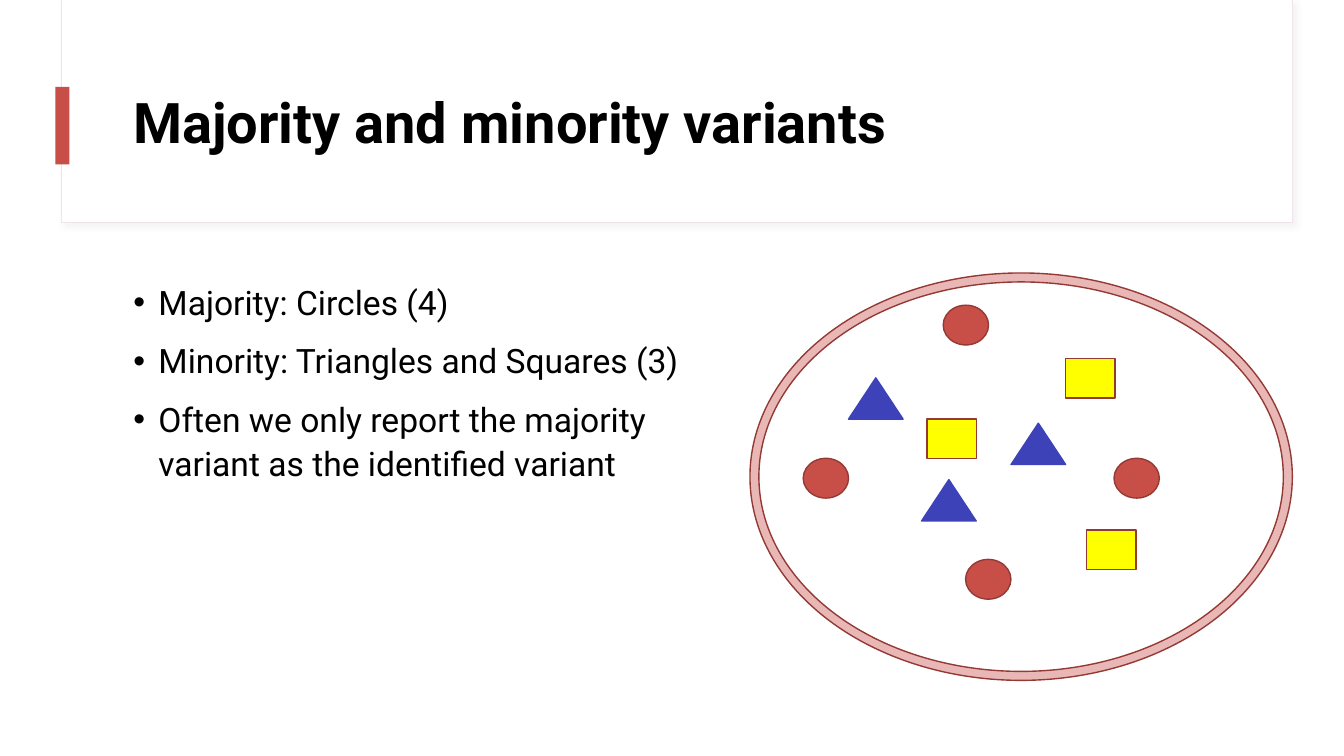
from dataclasses import dataclass

from lxml.etree import SubElement
from pptx import Presentation
from pptx.dml.color import RGBColor
from pptx.enum.shapes import MSO_SHAPE as Shape
from pptx.enum.text import MSO_ANCHOR as Anchor, MSO_AUTO_SIZE as AutoSize, PP_ALIGN as Align
from pptx.oxml.ns import qn
from pptx.util import Pt


@dataclass(frozen=True)
class Theme:
    font: str = "Roboto"
    title_size: float = 40
    body_size: float = 24
    text: str = "000000"
    white: str = "FFFFFF"
    red: str = "C84E48"
    dark_red: str = "943A35"
    pink: str = "E9B8B6"
    frame: str = "EFE3EC"
    shadow: str = "D9D9D9"
    yellow: str = "FFFF00"
    blue: str = "3D42B8"


T = Theme()


def add_shape(s, kind, x, y, w, h, fill, line=None, weight=1):
    sp = s.shapes.add_shape(kind, Pt(x), Pt(y), Pt(w), Pt(h))
    sp.shadow.inherit = False
    sp.fill.solid()
    sp.fill.fore_color.rgb = RGBColor.from_string(fill)
    if line:
        sp.line.color.rgb = RGBColor.from_string(line)
        sp.line.width = Pt(weight)
    else:
        sp.line.fill.background()
    return sp


def add_soft_shadow(sp):
    effects = sp.element.spPr.find(qn("a:effectLst"))
    shadow = SubElement(effects, qn("a:outerShdw"), blurRad=str(Pt(4)),
                        dist=str(Pt(3)), dir=str(45 * 60000))
    color = SubElement(shadow, qn("a:srgbClr"), val=T.shadow)
    SubElement(color, qn("a:alpha"), val="30000")


def write(p, text, size, bold=False, spacing=1.0, before=0, bullet=None):
    p.alignment = Align.LEFT
    p.line_spacing = spacing
    p.space_before = Pt(before)
    if bullet:
        pPr = p._p.get_or_add_pPr()
        pPr.set("marL", str(Pt(18)))
        pPr.set("indent", str(Pt(-18)))
        SubElement(pPr, qn("a:buFont"), typeface="Arial")
        SubElement(pPr, qn("a:buChar"), char=bullet)
    r = p.add_run()
    r.text = text
    r.font.name = T.font
    r.font.size = Pt(size)
    r.font.bold = bold
    r.font.color.rgb = RGBColor.from_string(T.text)


def place_text(ph, x, y, w, h, anchor):
    """Position a placeholder in front of the shapes drawn so far."""
    ph.left, ph.top, ph.width, ph.height = Pt(x), Pt(y), Pt(w), Pt(h)
    ph.element.getparent().append(ph.element)
    tf = ph.text_frame
    tf.auto_size = AutoSize.NONE
    tf.word_wrap = True
    tf.vertical_anchor = anchor
    return tf


def add_header(s, title, x, y, w, h):
    # Framed panel with its accent bar
    frame = add_shape(s, Shape.RECTANGLE, x, y, w, h, T.white, T.frame, 0.75)
    add_soft_shadow(frame)
    add_shape(s, Shape.RECTANGLE, x + 0.4, y, w - 0.8, h - 0.8, T.white)
    add_shape(s, Shape.RECTANGLE, x - 4.4, y + 62, 10, 55.4, T.red)
    # Title
    tf = place_text(s.shapes.title, x + 44, y + 43.2, w - 78.4, 92.9, Anchor.MIDDLE)
    write(tf.paragraphs[0], title, T.title_size, bold=True, spacing=0.9)


def add_bullets(s, items, x, y, w, h):
    tf = place_text(s.placeholders[1], x, y, w, h, Anchor.TOP)
    for i, item in enumerate(items):
        p = tf.add_paragraph() if i else tf.paragraphs[0]
        write(p, item, T.body_size, spacing=1.1, before=10 if i else 0, bullet="•")


def add_population(s, x, y, w, h):
    # Each variant: shape, size, fill, line, offsets within the ring
    variants = [
        (Shape.OVAL, (32.4, 28.4), T.red, T.dark_red,
         [(138, 23), (260, 132.4), (154, 204.6), (38, 132.4)]),
        (Shape.RECTANGLE, (35.3, 28.2), T.yellow, T.dark_red,
         [(126.5, 104.2), (225.5, 61.2), (240.6, 183.7)]),
        (Shape.ISOSCELES_TRIANGLE, (39, 29.5), T.blue, T.blue,
         [(70.4, 74.9), (186.5, 107.3), (122.6, 147.6)]),
    ]
    for kind, size, fill, line, offsets in variants:
        for dx, dy in offsets:
            add_shape(s, kind, x + dx, y + dy, *size, fill, line)
    # Enclosing ring
    ring = add_shape(s, Shape.DONUT, x, y, w, h, T.pink, T.dark_red)
    ring.adjustments[0] = 0.022


def main():
    prs = Presentation()
    prs.slide_width, prs.slide_height = Pt(960), Pt(540)
    s = prs.slides.add_slide(prs.slide_layouts[1])
    add_header(s, "Majority and minority variants", 44, 0, 879, 159)
    add_bullets(s, [
        "Majority: Circles (4)",
        "Minority: Triangles and Squares (3)",
        "Often we only report the majority variant as the identified variant",
    ], 88, 195, 431, 291)
    add_population(s, 535.7, 195, 387.4, 291)
    prs.save("out.pptx")


if __name__ == "__main__":
    main()
